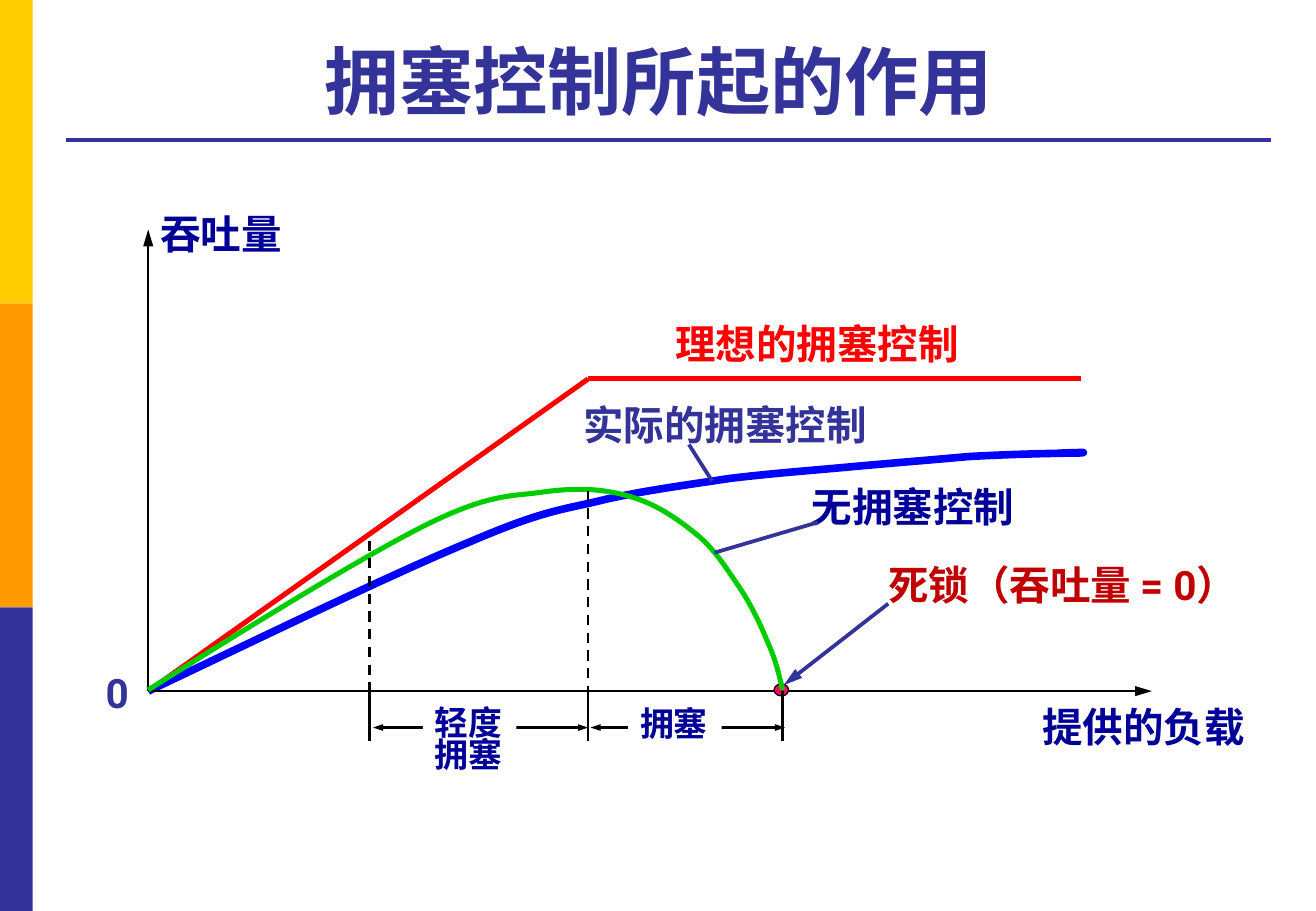
from dataclasses import dataclass
from itertools import pairwise

from lxml.etree import SubElement
from pptx import Presentation
from pptx.dml.color import RGBColor
from pptx.enum.dml import MSO_LINE
from pptx.enum.shapes import MSO_CONNECTOR, MSO_SHAPE
from pptx.enum.text import MSO_ANCHOR, MSO_AUTO_SIZE, PP_ALIGN
from pptx.oxml.ns import qn
from pptx.util import Inches, Pt


@dataclass(frozen=True)
class Theme:
    indigo: str = "333399"
    navy: str = "000099"
    black: str = "000000"
    white: str = "FFFFFF"
    red: str = "FF0000"
    dark_red: str = "C00000"
    blue: str = "0000FF"
    green: str = "00CC00"
    pink: str = "FF0066"
    yellow: str = "FFCC00"
    orange: str = "FF9900"
    title_font: str = "Arial"
    label_font: str = "Roboto"
    title_size: int = 44
    label_size: int = 24
    span_size: int = 20
    hairline: float = 0.75
    thin: float = 1.5
    medium: float = 2.25
    thick: float = 3
    heavy: float = 4.5


THEME = Theme()

# Content, lengths in inches
TITLE = "拥塞控制所起的作用 "
SIDEBAR = [THEME.yellow, THEME.orange, THEME.indigo]
ORIGIN_X, AXIS_Y = 1.22, 5.69
LIGHT_X, PEAK_X, DEADLOCK_X = 3.04, 4.84, 6.44
TICK_END, SPAN_Y = 6.1, 5.99

AXES = [((ORIGIN_X, AXIS_Y), (ORIGIN_X, 1.89)),
        ((ORIGIN_X, AXIS_Y), (9.48, AXIS_Y))]
IDEAL = [(ORIGIN_X, AXIS_Y), (PEAK_X, 3.12), (8.9, 3.12)]

# Each curve: a start point, then two control points and an end per section
ACTUAL = [(1.22, 5.69),
          (2.23, 5.21), (3.24, 4.72), (3.87, 4.46),
          (4.5, 4.19), (4.63, 4.2), (4.99, 4.11),
          (5.35, 4.03), (5.68, 3.99), (6, 3.94),
          (6.33, 3.9), (6.6, 3.88), (6.93, 3.85),
          (7.25, 3.82), (7.63, 3.79), (7.96, 3.76),
          (8.29, 3.74), (8.75, 3.73), (8.88, 3.73),
          (9.01, 3.72), (8.76, 3.73), (8.74, 3.73)]
UNCONTROLLED = [(1.22, 5.68),
                (2.08, 5.14), (2.94, 4.61), (3.49, 4.33),
                (4.03, 4.06), (4.2, 4.09), (4.48, 4.05),
                (4.77, 4.01), (4.99, 4.03), (5.19, 4.09),
                (5.4, 4.15), (5.57, 4.27), (5.72, 4.39),
                (5.86, 4.5), (5.96, 4.65), (6.06, 4.8),
                (6.16, 4.94), (6.25, 5.12), (6.31, 5.27),
                (6.38, 5.42), (6.41, 5.55), (6.44, 5.68)]

DROPS = [(LIGHT_X, 4.45), (PEAK_X, 4.04)]
SPANS = [(4.86, 6.46), (3.07, 4.84)]
LEADERS = [((5.67, 3.66), (5.86, 3.96), False),
           ((6.73, 4.3), (5.88, 4.55), False),
           ((7.31, 4.97), (6.45, 5.64), True)]
DEADLOCK_DOT = (6.37, 5.63, 0.12, 0.1)

LABELS = [("提供的负载", (8.48, 5.73, 1.89, 0.5), THEME.navy),
          ("吞吐量", (1.22, 1.67, 1.22, 0.5), THEME.navy),
          ("理想的拥塞控制", (5.46, 2.58, 2.57, 0.51), THEME.red),
          ("实际的拥塞控制", (4.7, 3.24, 2.57, 0.51), THEME.indigo),
          ("无拥塞控制", (6.58, 3.92, 1.89, 0.51), THEME.navy),
          ("死锁（吞吐量 = 0）", (7.21, 4.56, 3.26, 0.51), THEME.dark_red),
          ("0", (0.77, 5.45, 0.42, 0.5), THEME.indigo)]
SPAN_LABELS = [("拥塞", (5.17, 5.74, 0.77, 0.44), None),
               ("轻度\n拥塞", (3.48, 5.79, 0.77, 0.64), 0.8)]

prs = Presentation()
prs.slide_width, prs.slide_height = Inches(10.83), Inches(7.5)
slide = prs.slides.add_slide(prs.slide_layouts[5])
shapes = slide.shapes


def rgb(color):
    return RGBColor.from_string(color)


def inches(values):
    return [Inches(value) for value in values]


def write(frame, text, *, color, size=THEME.label_size, font=THEME.label_font,
          align=PP_ALIGN.LEFT, spacing=None):
    frame.text = text
    for paragraph in frame.paragraphs:
        paragraph.alignment = align
        if spacing:
            paragraph.line_spacing = spacing
        for run in paragraph.runs:
            run.font.name, run.font.size, run.font.bold = font, Pt(size), True
            run.font.color.rgb = rgb(color)


def add_label(text, box, fill=None, **style):
    label = shapes.add_textbox(*inches(box))
    if fill:
        label.fill.solid()
        label.fill.fore_color.rgb = rgb(fill)
    label.text_frame.word_wrap = False
    label.text_frame.auto_size = MSO_AUTO_SIZE.SHAPE_TO_FIT_TEXT
    write(label.text_frame, text, **style)


def add_block(kind, box, fill, outline=None):
    block = shapes.add_shape(kind, *inches(box))
    block.shadow.inherit = False
    block.fill.solid()
    block.fill.fore_color.rgb = rgb(fill)
    if outline:
        block.line.color.rgb = rgb(outline)
        block.line.width = Pt(THEME.hairline)
    else:
        block.line.fill.background()


def add_line(start, end, color=THEME.black, width=THEME.thin, dashed=False,
             arrows=(), arrow_width="med", arrow_length="lg"):
    link = shapes.add_connector(MSO_CONNECTOR.STRAIGHT, *inches(start + end))
    link.line.color.rgb = rgb(color)
    link.line.width = Pt(width)
    if dashed:
        link.line.dash_style = MSO_LINE.DASH
    properties = link._element.spPr
    for arrow in arrows:
        SubElement(properties.find(qn("a:ln")), qn(f"a:{arrow}"),
                   type="triangle", w=arrow_width, len=arrow_length)
    SubElement(properties, qn("a:effectLst"))


def add_curve(points, color, width):
    """Draw joined cubic sections as one open outline."""
    builder = shapes.build_freeform(*inches(points[0]))
    builder.add_line_segments([inches(point) for point in points[1:]], close=False)
    curve = builder.convert_to_shape()
    segments = list(curve._element.iter(qn("a:lnTo")))
    outline = segments[0].getparent()
    for first in range(0, len(segments), 3):
        section = SubElement(outline, qn("a:cubicBezTo"))
        for segment in segments[first:first + 3]:
            section.append(segment[0])
            outline.remove(segment)
    curve.shadow.inherit = False
    curve.fill.background()
    curve.line.color.rgb = rgb(color)
    curve.line.width = Pt(width)


# Sidebar, title and rule
for row, color in enumerate(SIDEBAR):
    add_block(MSO_SHAPE.RECTANGLE, (0, 2.5 * row, 0.27, 2.5), color)
title = shapes.title
title.left, title.top, title.width, title.height = inches((0.54, 0.2, 9.91, 0.87))
title.text_frame.vertical_anchor = MSO_ANCHOR.BOTTOM
title.text_frame.auto_size = MSO_AUTO_SIZE.NONE
write(title.text_frame, TITLE, color=THEME.indigo, size=THEME.title_size,
      font=THEME.title_font, align=PP_ALIGN.CENTER)
add_line((0.54, 1.15), (10.46, 1.15), THEME.indigo, THEME.medium)

# Axes and throughput curves
for start, end in pairwise(IDEAL):
    add_line(start, end, THEME.red, THEME.thick)
add_curve(ACTUAL, THEME.blue, THEME.heavy)
for start, end in AXES:
    add_line(start, end, arrows=["tailEnd"])
add_block(MSO_SHAPE.OVAL, DEADLOCK_DOT, THEME.pink, THEME.black)
add_curve(UNCONTROLLED, THEME.green, THEME.thick)

# Congestion ranges below the axis
for x, top in DROPS:
    add_line((x, top), (x, AXIS_Y), dashed=True)
for x in (LIGHT_X, PEAK_X, DEADLOCK_X):
    add_line((x, AXIS_Y), (x, TICK_END))
for left, right in SPANS:
    add_line((left, SPAN_Y), (right, SPAN_Y), arrows=["headEnd", "tailEnd"],
             arrow_width="sm", arrow_length="med")
for text, box, spacing in SPAN_LABELS:
    add_label(text, box, fill=THEME.white, color=THEME.navy,
              size=THEME.span_size, spacing=spacing)

# Labels and their leaders
for text, box, color in LABELS:
    add_label(text, box, color=color)
for start, end, pointed in LEADERS:
    add_line(start, end, THEME.indigo, THEME.medium, arrows=["tailEnd"] if pointed else ())

prs.save("out.pptx")
